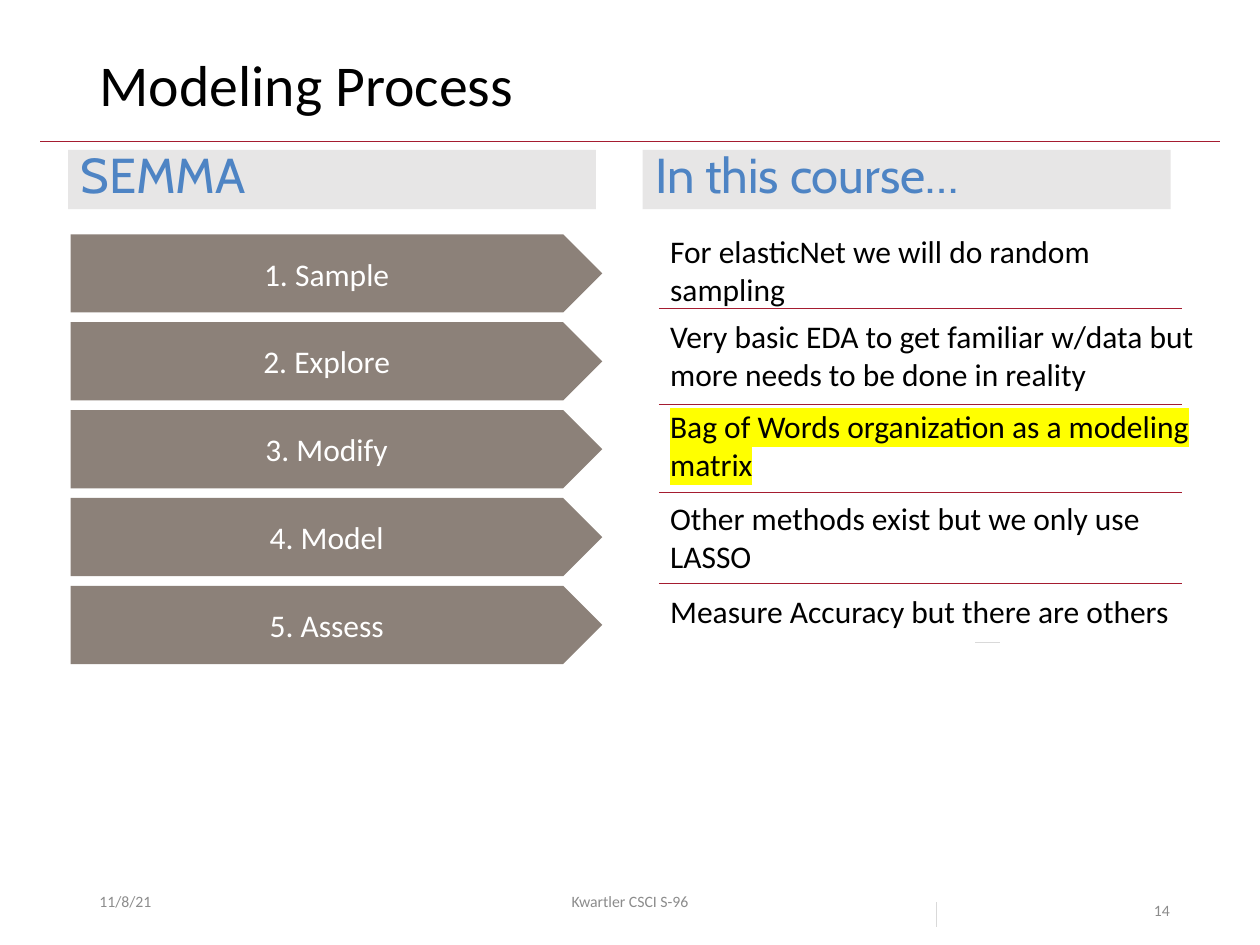
from dataclasses import dataclass
from lxml import etree
from pptx import Presentation
from pptx.dml.color import RGBColor as RGB
from pptx.enum.shapes import MSO_CONNECTOR as Conn, MSO_SHAPE as Kind
from pptx.enum.text import MSO_ANCHOR as Anchor, PP_ALIGN as Align
from pptx.oxml.ns import qn
from pptx.util import Inches, Pt


@dataclass(frozen=True)
class Theme:
    font: str = "Calibri"
    head_font: str = "Cabin"
    ink: str = "000000"
    white: str = "FFFFFF"
    gray: str = "8C8C8C"
    band: str = "E7E6E6"
    blue: str = "4E84C4"
    step: str = "8C8179"
    red: str = "A51C30"
    pale: str = "D9D9D9"
    mark: str = "FFFF00"
    title: int = 33
    head: int = 28
    body: int = 18
    foot: int = 9


T = Theme()


def write(shape, text, size, color=T.ink, font=T.font, align=Align.LEFT,
          anchor=Anchor.TOP, space=1.0):
    frame = shape.text_frame
    frame.word_wrap = True
    frame.vertical_anchor = anchor
    para = frame.paragraphs[0]
    para.alignment = align
    para.line_spacing = space
    run = para.add_run()
    run.text = text
    for name, value in {"size": Pt(size), "name": font, "bold": False}.items():
        setattr(run.font, name, value)
    run.font.color.rgb = RGB.from_string(color)
    return run


def rule(x1, y1, x2, y2, color=T.red):
    line = slide.shapes.add_connector(
        Conn.STRAIGHT, Inches(x1), Inches(y1), Inches(x2), Inches(y2))
    line.line.color.rgb = RGB.from_string(color)
    line.line.width = Pt(0.5)
    etree.SubElement(line._element.spPr, qn("a:effectLst"))


deck = Presentation()
deck.slide_width, deck.slide_height = Inches(10), Inches(7.5)
slide = deck.slides.add_slide(deck.slide_layouts[5])

# Title and the line under it
title = slide.shapes.title
place = {"left": 0.69, "top": 0.4, "width": 8.62, "height": 0.65}
for name, value in place.items():
    setattr(title, name, Inches(value))
write(title, "Modeling Process", T.title, space=0.9)
rule(0.32, 1.12, 9.68, 1.12)

# Column heads and process steps
blocks = [(Kind.RECTANGLE, 0.54, 1.19, 4.19, 0.47, T.band, "SEMMA"),
          (Kind.RECTANGLE, 5.1, 1.19, 4.19, 0.47, T.band, "In this course…")]
for i, name in enumerate(["Sample", "Explore", "Modify", "Model", "Assess"]):
    blocks.append((Kind.PENTAGON, 0.56, 1.86 + i * 0.6975, 4.22, 0.62,
                   T.step, f"{i + 1}. {name}"))
looks = {
    Kind.RECTANGLE: {"size": T.head, "color": T.blue, "font": T.head_font,
                     "space": 0.8},
    Kind.PENTAGON: {"size": T.body, "color": T.white, "align": Align.CENTER,
                    "anchor": Anchor.MIDDLE},
}
for kind, x, y, w, h, fill, text in blocks:
    block = slide.shapes.add_shape(
        kind, Inches(x), Inches(y), Inches(w), Inches(h))
    block.shadow.inherit = False
    block.fill.solid()
    block.fill.fore_color.rgb = RGB.from_string(fill)
    block.line.fill.background()
    write(block, text, **looks[kind])

# Course notes, one beside each step
notes = [
    (1.79, 4.18, 0.71, "For elasticNet we will do random sampling"),
    (2.47, 4.78, 0.71, "Very basic EDA to get familiar w/data but "
                       "more needs to be done in reality"),
    (3.18, 4.55, 0.71, "Bag of Words organization as a modeling matrix"),
    (3.91, 4.18, 0.71, "Other methods exist but we only use LASSO"),
    (4.65, 4.18, 0.4, "Measure Accuracy but there are others"),
]
runs = []
for y, w, h, text in notes:
    box = slide.shapes.add_textbox(
        Inches(5.22), Inches(y), Inches(w), Inches(h))
    runs.append(write(box, text, T.body))

# Highlight the Modify note
glow = etree.Element(qn("a:highlight"))
etree.SubElement(glow, qn("a:srgbClr"), val=T.mark)
runs[2].font._element.find(qn("a:solidFill")).addnext(glow)

# Lines between the notes
for y in (2.45, 3.21, 3.91, 4.63):
    rule(5.23, y, 9.38, y)

# Short pale ticks
rule(7.43, 7.16, 7.43, 7.36, T.pale)
rule(7.74, 5.1, 7.94, 5.1, T.pale)

# Footer
mid = Anchor.MIDDLE
feet = [
    (0.69, 2.25, "11/8/21", {"anchor": mid}),
    (3.31, 3.38, "Kwartler CSCI S-96", {"anchor": mid, "align": Align.CENTER}),
    (9.06, 0.94, "14", {"space": 2.0}),
]
for x, w, text, look in feet:
    box = slide.shapes.add_textbox(
        Inches(x), Inches(6.95), Inches(w), Inches(0.4))
    write(box, text, T.foot, T.gray, **look)

deck.save("out.pptx")
